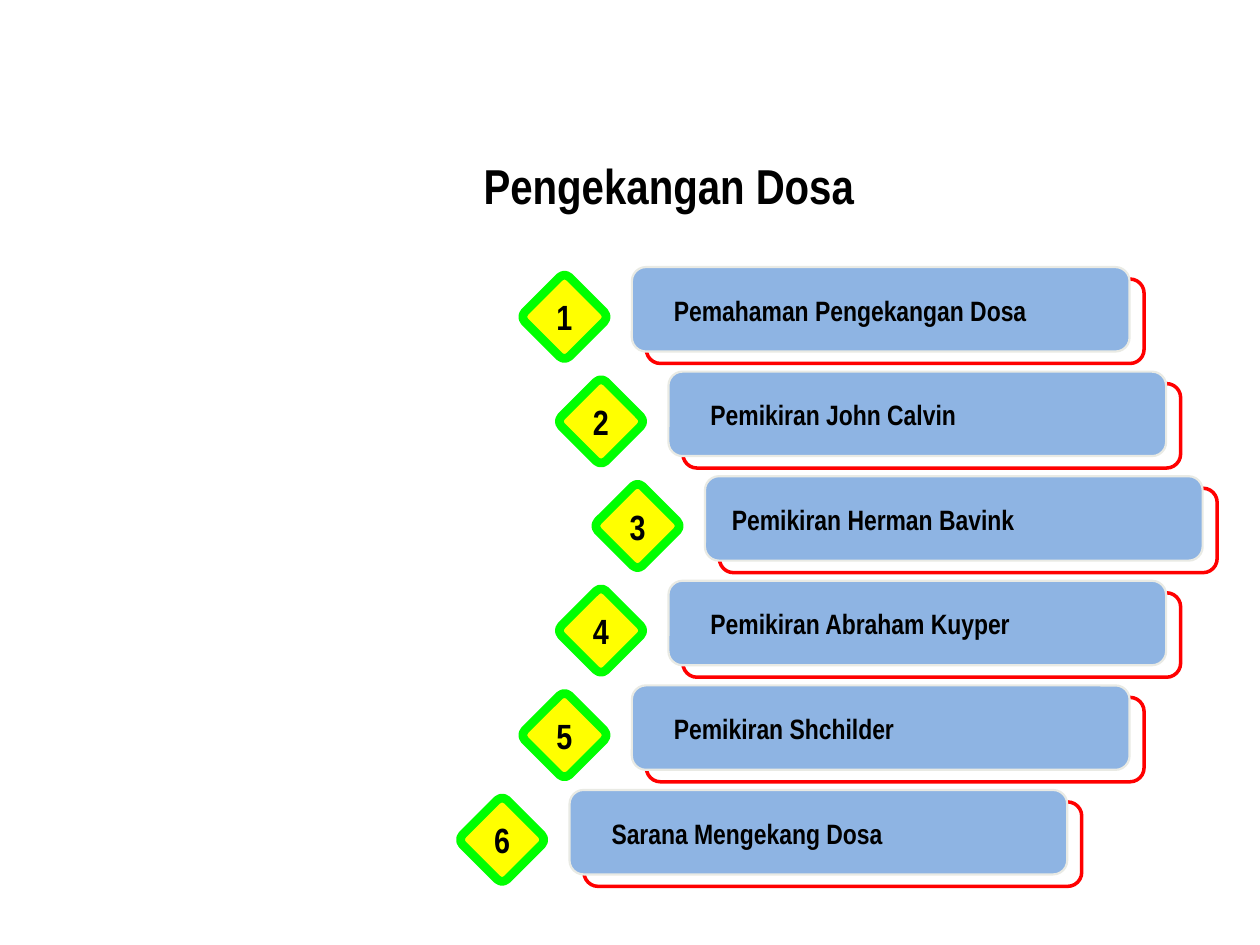
from collections import namedtuple

from pptx import Presentation
from pptx.dml.color import RGBColor
from pptx.enum.shapes import MSO_SHAPE
from pptx.enum.text import MSO_ANCHOR, MSO_AUTO_SIZE, PP_ALIGN
from pptx.util import Inches, Pt

BLACK = RGBColor(0x00, 0x00, 0x00)
WHITE = RGBColor(0xFF, 0xFF, 0xFF)
RED = RGBColor(0xFF, 0x00, 0x00)
BLUE = RGBColor(0x8E, 0xB4, 0xE3)
PALE_GREY = RGBColor(0xE9, 0xEA, 0xE4)
YELLOW = RGBColor(0xFF, 0xFF, 0x00)
GREEN = RGBColor(0x00, 0xFF, 0x00)
FONT = "Arial Narrow"

SLIDE_WIDTH, SLIDE_HEIGHT = Inches(10), Inches(7.5)
COLUMN = SLIDE_WIDTH // 1000
ROW = SLIDE_HEIGHT // 750

Box = namedtuple("Box", "left top width height")
Topic = namedtuple("Topic", "label left label_indent")

TITLE_BOX = Box(374, 115, 626, 63)
TOPICS_TOP, TOPIC_PITCH = 212, 83
TOPIC_WIDTH, TOPIC_HEIGHT = 485, 76
TOPICS = [
    Topic("Pemahaman Pengekangan Dosa", 423, 23.5),
    Topic("Pemikiran John Calvin", 452, 23.5),
    Topic("Pemikiran Herman Bavink", 481, 11.5),
    Topic("Pemikiran Abraham Kuyper", 452, 23.5),
    Topic("Pemikiran Shchilder", 423, 23.5),
    Topic("Sarana Mengekang Dosa", 373.5, 23.5),
]


def inner(box, left, top, width, height):
    return Box(box.left + left, box.top + top, width, height)


def place(box):
    return (round(box.left * COLUMN), round(box.top * ROW),
            round(box.width * COLUMN), round(box.height * ROW))


def add_rounded(shapes, box, fill, line, line_width):
    rounded = shapes.add_shape(MSO_SHAPE.ROUNDED_RECTANGLE, *place(box))
    rounded.shadow.inherit = False
    rounded.fill.solid()
    rounded.fill.fore_color.rgb = fill
    rounded.line.color.rgb = line
    rounded.line.width = Pt(line_width)
    return rounded


def add_text(shapes, box, wording, size, align=PP_ALIGN.LEFT, fit=MSO_AUTO_SIZE.SHAPE_TO_FIT_TEXT):
    frame = shapes.add_textbox(*place(box)).text_frame
    frame.word_wrap = True
    frame.auto_size = fit
    frame.vertical_anchor = MSO_ANCHOR.MIDDLE
    paragraph = frame.paragraphs[0]
    paragraph.alignment = align
    run = paragraph.add_run()
    run.text = wording
    run.font.name = FONT
    run.font.size = Pt(size)
    run.font.bold = True
    run.font.color.rgb = BLACK


def add_title(slide, box):
    add_text(slide.shapes, box, "Pengekangan Dosa", 28, fit=MSO_AUTO_SIZE.NONE)


def add_topic(slide, box, number, topic):
    shapes = slide.shapes.add_group_shape().shapes
    bar = inner(box, 78.5, 0, 395, 67)
    add_rounded(shapes, inner(bar, 11.5, 9.5, bar.width, bar.height), WHITE, RED, 2)
    add_rounded(shapes, bar, BLUE, PALE_GREY, 1.25)
    add_text(shapes, inner(bar, topic.label_indent, 15.5, 331, 37), topic.label, 16)
    diamond = add_rounded(shapes, inner(box, 0, 14.5, 50, 50), YELLOW, GREEN, 5)
    diamond.adjustments[0] = 0.11
    diamond.rotation = 45
    add_text(shapes, inner(box, 8.5, 17.5, 33, 44), str(number), 20, PP_ALIGN.CENTER)


def main():
    presentation = Presentation()
    presentation.slide_width = SLIDE_WIDTH
    presentation.slide_height = SLIDE_HEIGHT
    slide = presentation.slides.add_slide(presentation.slide_layouts[6])
    add_title(slide, TITLE_BOX)
    for index, topic in enumerate(TOPICS):
        top = TOPICS_TOP + index * TOPIC_PITCH
        add_topic(slide, Box(topic.left, top, TOPIC_WIDTH, TOPIC_HEIGHT), index + 1, topic)
    presentation.save("out.pptx")


if __name__ == "__main__":
    main()
